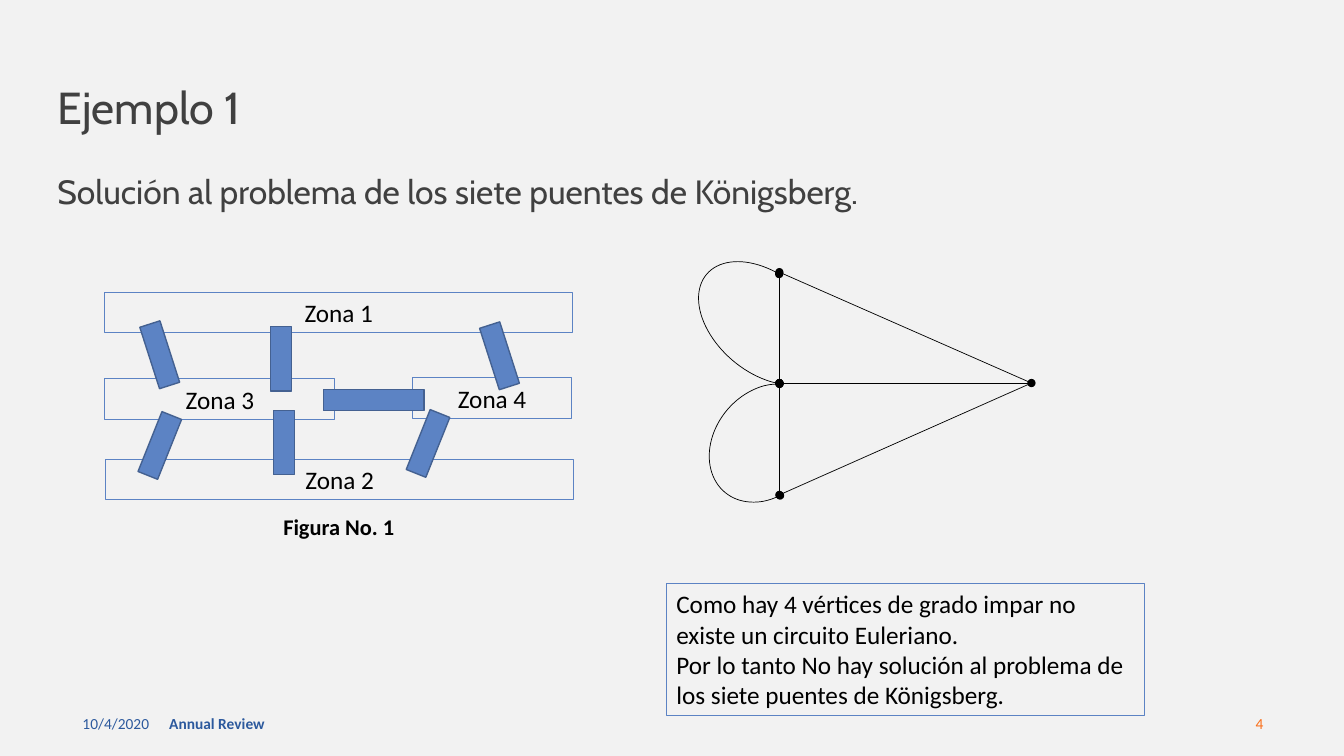
from lxml import etree
from pptx import Presentation
from pptx.dml.color import RGBColor
from pptx.enum.shapes import MSO_CONNECTOR as Connector, MSO_SHAPE as Shape
from pptx.enum.text import MSO_ANCHOR as Anchor, MSO_AUTO_SIZE as AutoSize, PP_ALIGN as Align
from pptx.oxml.ns import qn
from pptx.util import Inches, Pt

COLORS = {
    "background": "F2F2F2",
    "heading": "404040",
    "text": "000000",
    "footer": "2C599D",
    "number": "FA6F1A",
    "blue": "5C83C4",
    "bridge_edge": "446191",
}


def color(name):
    return RGBColor.from_string(COLORS[name])


def write(shape, text, size=18, font="Calibri", ink="text", bold=False,
          align=Align.LEFT, anchor=Anchor.TOP, spacing=None):
    """Fill a shape with text, one paragraph for each line."""
    frame = shape.text_frame
    frame.text = text
    frame.word_wrap = True
    frame.auto_size = AutoSize.NONE
    frame.vertical_anchor = anchor
    for paragraph in frame.paragraphs:
        paragraph.alignment = align
        paragraph.line_spacing = spacing
        paragraph.font.name = font
        paragraph.font.size = Pt(size)
        paragraph.font.bold = bold
        paragraph.font.color.rgb = color(ink)


class SlideBuilder:
    def __init__(self, presentation):
        title_only = presentation.slide_layouts[5]
        self.slide = presentation.slides.add_slide(title_only)
        self.shapes = self.slide.shapes
        fill = self.slide.background.fill
        fill.solid()
        fill.fore_color.rgb = color("background")

    def title(self, box, text, **style):
        title = self.slide.shapes.title
        title.left, title.top, title.width, title.height = map(Inches, box)
        write(title, text, **style)

    def text(self, box, text, shapes=None, **style):
        write((shapes or self.shapes).add_textbox(*map(Inches, box)), text, **style)

    def shape(self, box, kind=Shape.RECTANGLE, fill=None, line="blue", width=0.75,
              rotation=0, shapes=None):
        shape = (shapes or self.shapes).add_shape(kind, *map(Inches, box))
        shape.rotation = rotation
        shape.shadow.inherit = False
        if fill:
            shape.fill.solid()
            shape.fill.fore_color.rgb = color(fill)
        else:
            shape.fill.background()
        shape.line.color.rgb = color(line)
        shape.line.width = Pt(width)
        return shape

    def add_dots(self, shape):
        line = shape.line._get_or_add_ln()
        for end in ("a:headEnd", "a:tailEnd"):
            etree.SubElement(line, qn(end), type="oval")

    def edge(self, start, end, dots=False):
        connector = self.shapes.add_connector(
            Connector.STRAIGHT, *map(Inches, start + end))
        connector.line.color.rgb = color("text")
        connector.line.width = Pt(0.5)
        if dots:
            self.add_dots(connector)
        etree.SubElement(connector._element.spPr, qn("a:effectLst"))

    def arc(self, box, rotation, angles):
        arc = self.shape(box, Shape.ARC, line="text", width=0.5, rotation=rotation)
        for index, angle in enumerate(angles):
            arc.adjustments[index] = angle
        self.add_dots(arc)


def main():
    presentation = Presentation()
    presentation.slide_width = Inches(13.33)
    presentation.slide_height = Inches(7.5)
    builder = SlideBuilder(presentation)

    # Footer
    footer = dict(size=11, anchor=Anchor.MIDDLE)
    builder.text((0.72, 6.98, 3, 0.4), "10/4/2020", ink="footer", **footer)
    builder.text((1.58, 6.98, 4.5, 0.4), "Annual Review", ink="footer", bold=True, **footer)
    builder.text((9.63, 6.98, 3, 0.4), "4", ink="number", align=Align.RIGHT, **footer)

    # Title and subtitle
    heading = dict(font="Cabin", ink="heading", anchor=Anchor.MIDDLE, spacing=0.9)
    builder.title((0.47, 0.71, 12.4, 0.77), "Ejemplo 1", size=32, **heading)
    builder.text((0.47, 1.47, 10.29, 0.91),
                 "Solución al problema de los siete puentes de Königsberg.",
                 size=24, **heading)

    # Map: caption, zones and the seven bridges, in one group
    city_map = builder.shapes.add_group_shape().shapes
    builder.text((1.69, 5.04, 3.34, 0.37), "Figura No. 1", shapes=city_map,
                 size=16, bold=True, align=Align.CENTER)
    zones = [
        ("Zona 1", 1.04, 2.9, 4.64),
        ("Zona 3", 1.04, 3.76, 2.28),
        ("Zona 2", 1.05, 4.56, 4.64),
        ("Zona 4", 4.09, 3.75, 1.58),
    ]
    for name, left, top, width in zones:
        zone = builder.shape((left, top, width, 0.4), shapes=city_map)
        write(zone, name, align=Align.CENTER)

    bridges = [
        (1.48, 3.2, 0.64, 342.2),
        (2.68, 3.24, 0.64, 0),
        (1.48, 4.1, 0.64, 21.8),
        (2.71, 4.07, 0.64, 0),
        (4.85, 3.21, 0.64, 342.2),
        (4.14, 4.08, 0.64, 21.8),
        (3.6, 3.47, 1, 90),
    ]
    for left, top, length, rotation in bridges:
        builder.shape((left, top, 0.21, length), fill="blue", line="bridge_edge",
                      width=1, rotation=rotation, shapes=city_map)

    # Graph: one vertex for each zone, one edge for each bridge
    north, island, south, east = (7.73, 2.7), (7.73, 3.8), (7.73, 4.91), (10.23, 3.8)
    for vertex in (north, south, east):
        builder.edge(island, vertex, dots=True)
    for vertex in (north, south):
        builder.edge(vertex, east)
    builder.arc((6.83, 2.72, 1.5, 0.97), 220.4, (129.22, 39.86))
    builder.arc((7.09, 3.76, 1.01, 1.27), 219.4, (129.22, 38.16))

    # Conclusion
    conclusion = builder.shape((6.61, 5.79, 4.74, 1.31))
    write(conclusion,
          "Como hay 4 vértices de grado impar no existe un circuito Euleriano.\n"
          "Por lo tanto No hay solución al problema de los siete puentes de Königsberg.")

    presentation.save("out.pptx")


if __name__ == "__main__":
    main()
